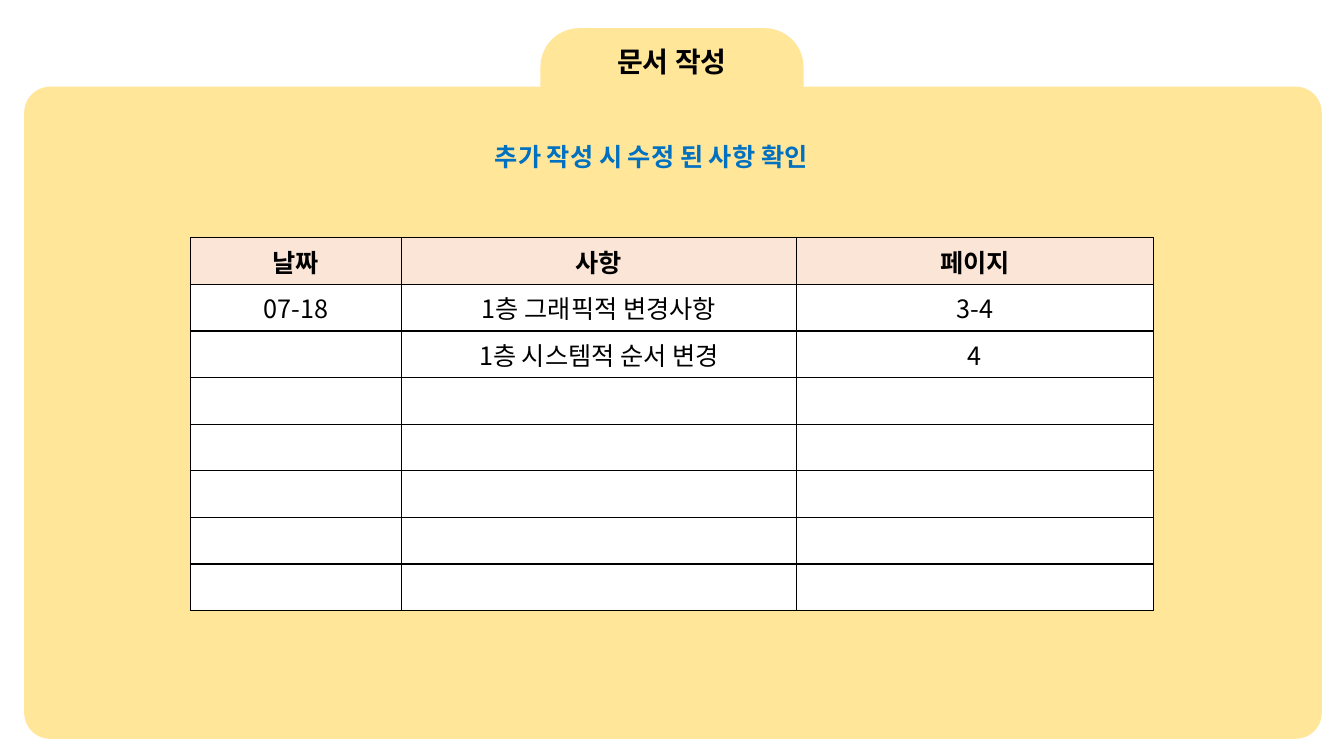
from lxml import etree
from pptx import Presentation
from pptx.dml.color import RGBColor
from pptx.enum import shapes, text
from pptx.oxml import ns
from pptx.util import Inches, Pt

FOLDER = RGBColor(0xFF, 0xE6, 0x99)
HEADER = RGBColor(0xFB, 0xE5, 0xD6)
WHITE = RGBColor(0xFF, 0xFF, 0xFF)
BLACK = RGBColor(0x00, 0x00, 0x00)
BLUE = RGBColor(0x00, 0x70, 0xC0)

COLUMN_WIDTHS = (2.09, 3.92, 3.54)
ROW_HEIGHT = 0.46
ROW_COUNT = 8
CHANGES = (
    ("날짜", "사항", "페이지"),
    ("07-18", "1층 그래픽적 변경사항", "3-4"),
    ("", "1층 시스템적 순서 변경", "4"),
)


class FolderPage:
    font_name = "Noto Sans CJK KR"

    def __init__(self, deck):
        self.page = deck.slides.add_slide(deck.slide_layouts[5])

    def set_text(self, frame, words, size=18, color=BLACK, bold=False,
                 align=text.PP_ALIGN.CENTER):
        para = frame.paragraphs[0]
        para.text = words
        para.alignment = align
        font = para.font
        font.size, font.bold, font.name = Pt(size), bold, self.font_name
        font.color.rgb = color
        # Korean glyphs take the East Asian typeface.
        properties = para._p.pPr.find(ns.qn("a:defRPr"))
        etree.SubElement(properties, ns.qn("a:ea"), typeface=self.font_name)

    def panel(self, left, top, width, height, rounding):
        panel = self.page.shapes.add_shape(
            shapes.MSO_SHAPE.ROUNDED_RECTANGLE,
            Inches(left), Inches(top), Inches(width), Inches(height))
        panel.adjustments[0] = rounding
        panel.shadow.inherit = False
        panel.fill.solid()
        panel.fill.fore_color.rgb = FOLDER
        panel.line.fill.background()

    def title(self, words, left, top, width, height):
        title = self.page.shapes.title
        title.left, title.top = Inches(left), Inches(top)
        title.width, title.height = Inches(width), Inches(height)
        title.text_frame.vertical_anchor = text.MSO_ANCHOR.MIDDLE
        self.set_text(title.text_frame, words, size=20, bold=True)
        # Bring the title in front of the folder tab.
        self.page.shapes._spTree.append(title._element)

    def label(self, words, left, top, width, height):
        box = self.page.shapes.add_textbox(
            Inches(left), Inches(top), Inches(width), Inches(height))
        box.text_frame.word_wrap = True
        self.set_text(box.text_frame, words, color=BLUE, bold=True,
                      align=text.PP_ALIGN.LEFT)

    def table(self, rows, left, top):
        table = self.page.shapes.add_table(
            ROW_COUNT, len(COLUMN_WIDTHS), Inches(left), Inches(top),
            Inches(sum(COLUMN_WIDTHS)), Inches(ROW_HEIGHT * ROW_COUNT)).table
        table.horz_banding = False
        for column, width in zip(table.columns, COLUMN_WIDTHS):
            column.width = Inches(width)
        for r, row in enumerate(table.rows):
            row.height = Inches(ROW_HEIGHT)
            words = rows[r] if r < len(rows) else ("",) * len(COLUMN_WIDTHS)
            for cell, entry in zip(row.cells, words):
                self.set_text(cell.text_frame, entry, bold=r == 0)
                cell.vertical_anchor = text.MSO_ANCHOR.MIDDLE
                self.border(cell)
                cell.fill.solid()
                cell.fill.fore_color.rgb = HEADER if r == 0 else WHITE

    def border(self, cell):
        properties = cell._tc.get_or_add_tcPr()
        for side in ("lnL", "lnR", "lnT", "lnB"):
            line = etree.SubElement(properties, ns.qn(f"a:{side}"), w=str(Pt(1)))
            fill = etree.SubElement(line, ns.qn("a:solidFill"))
            etree.SubElement(fill, ns.qn("a:srgbClr"), val=str(BLACK))


def main():
    deck = Presentation()
    deck.slide_width, deck.slide_height = Inches(13.33), Inches(7.5)
    folder = FolderPage(deck)
    folder.panel(5.36, 0.28, 2.61, 1.28, rounding=0.3)
    folder.panel(0.24, 0.86, 12.87, 6.47, rounding=0.04)
    folder.title("문서 작성", 5.36, 0.28, 2.61, 0.66)
    folder.table(CHANGES, 1.89, 2.36)
    folder.label("추가 작성 시 수정 된 사항 확인", 4.81, 1.35, 3.73, 0.4)
    deck.save("out.pptx")


if __name__ == "__main__":
    main()
